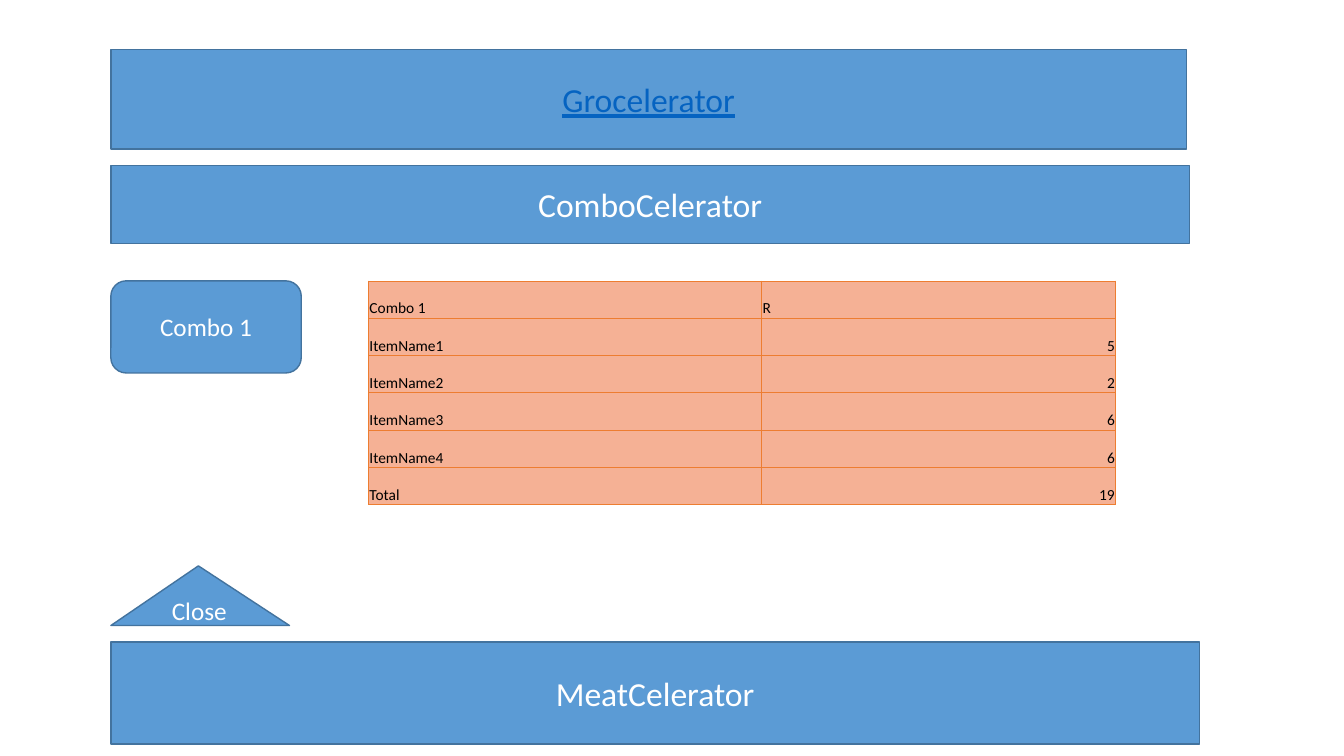
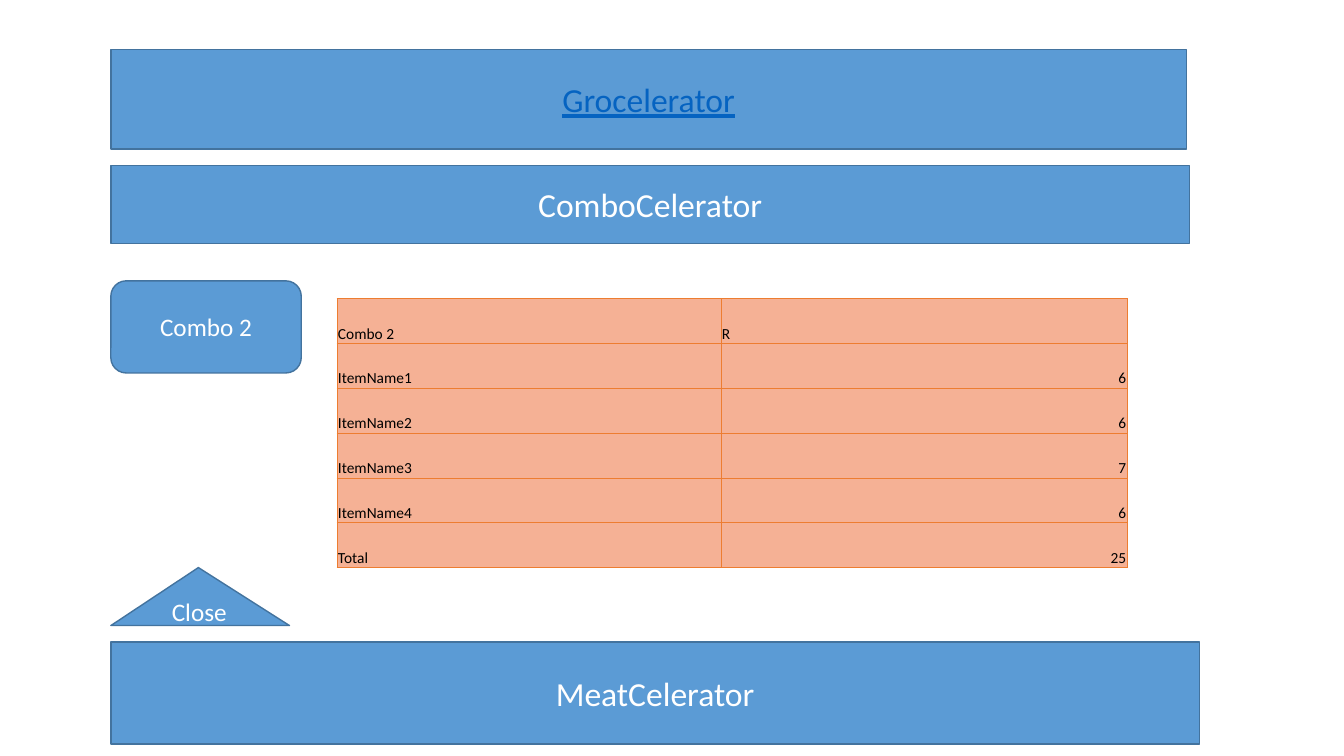
from lxml import etree
from pptx import Presentation
from pptx.dml import color
from pptx.enum import shapes, text
from pptx.oxml import ns
from pptx.util import Pt

FONT = "Calibri"
BLUE, EDGE, LINK, WHITE = "5B9BD5", "43739E", "0563C1", "FFFFFF"
PEACH, ORANGE, BLACK = "F5B195", "ED7D31", "000000"
LEFT = 79.2
CLOSE_BOTTOM = 446.8
ALIGN = text.PP_ALIGN
KIND = shapes.MSO_SHAPE


def rgb(value):
    return color.RGBColor.from_string(value)


def write(frame, words, size=24, fill=WHITE, align=ALIGN.CENTER,
          anchor=text.MSO_ANCHOR.MIDDLE, underline=False):
    frame.word_wrap = True
    frame.auto_size = text.MSO_AUTO_SIZE.NONE
    frame.vertical_anchor = anchor
    paragraph = frame.paragraphs[0]
    paragraph.alignment = align
    run = paragraph.add_run()
    run.text = words
    run.font.name = FONT
    run.font.size = Pt(size)
    run.font.underline = underline
    run.font.color.rgb = rgb(fill)


def paint(part):
    part.fill.solid()
    part.fill.fore_color.rgb = rgb(BLUE)
    part.line.color.rgb = rgb(EDGE)
    part.line.width = Pt(1)


def heading(slide, box, words):
    """Top band, held by the title placeholder."""
    title = slide.shapes.title
    title.left, title.top, title.width, title.height = map(Pt, box)
    paint(title)
    write(title.text_frame, words, fill=LINK, underline=True)


def button(slide, kind, box, words, size=24):
    part = slide.shapes.add_shape(kind, *map(Pt, box))
    part.shadow.inherit = False
    paint(part)
    write(part.text_frame, words, size=size)
    return part


def outline(cell):
    """Thin orange border on all four sides, placed before the cell fill."""
    properties = cell._tc.get_or_add_tcPr()
    for place, side in enumerate(("lnL", "lnR", "lnT", "lnB")):
        border = etree.Element(ns.qn("a:" + side), w=str(Pt(0.5)))
        solid = etree.SubElement(border, ns.qn("a:solidFill"))
        etree.SubElement(solid, ns.qn("a:srgbClr"), val=ORANGE)
        properties.insert(place, border)


def price_table(slide, box, first_width, rows):
    left, top, width, height = box
    prices = slide.shapes.add_table(len(rows), 2, *map(Pt, box)).table
    prices.first_row = prices.horz_banding = False
    for column, span in zip(prices.columns, (first_width, width - first_width)):
        column.width = Pt(span)
    for r, row in enumerate(rows):
        prices.rows[r].height = Pt(height / len(rows))
        for c, value in enumerate(row):
            cell = prices.cell(r, c)
            cell.fill.solid()
            cell.fill.fore_color.rgb = rgb(PEACH)
            outline(cell)
            cell.margin_left = cell.margin_right = cell.margin_top = Pt(0.7)
            cell.margin_bottom = 0
            cell.vertical_anchor = text.MSO_ANCHOR.BOTTOM
            is_price = isinstance(value, int)
            write(cell.text_frame, str(value), size=11, fill=BLACK,
                  align=ALIGN.RIGHT if is_price else ALIGN.LEFT,
                  anchor=None)


def combo_slide(deck, combo, item_prices, table_box, first_width, close_top):
    slide = deck.slides.add_slide(deck.slide_layouts.get_by_name("Title Only"))

    # Section bands
    heading(slide, (LEFT, 35.2, 768.3, 71.2), "Grocelerator")
    button(slide, KIND.RECTANGLE, (LEFT, 118.2, 770.4, 55.6), "ComboCelerator")
    button(slide, KIND.RECTANGLE, (LEFT, 458.5, 777.6, 73), "MeatCelerator")

    # Close and combo buttons
    close = button(slide, KIND.ISOSCELES_TRIANGLE,
                   (LEFT, close_top, 127.6, CLOSE_BOTTOM - close_top), "Close", 18)
    close.adjustments[0] = 0.49
    button(slide, KIND.ROUNDED_RECTANGLE, (LEFT, 200.6, 136, 65.8), combo, 18)

    # Items, prices and their total
    items = [(f"ItemName{n}", price) for n, price in enumerate(item_prices, 1)]
    rows = [(combo, "R"), *items, ("Total", sum(item_prices))]
    price_table(slide, table_box, first_width, rows)


deck = Presentation()
deck.slide_width, deck.slide_height = Pt(960), Pt(540)
combo_slide(deck, "Combo 1", (5, 2, 6, 6), (263.2, 200.6, 533.8, 159.9), 280.8, 404.2)
combo_slide(deck, "Combo 2", (6, 6, 7, 6), (240.7, 213.2, 564.5, 192.3), 274.3, 405.4)
deck.save("out.pptx")
